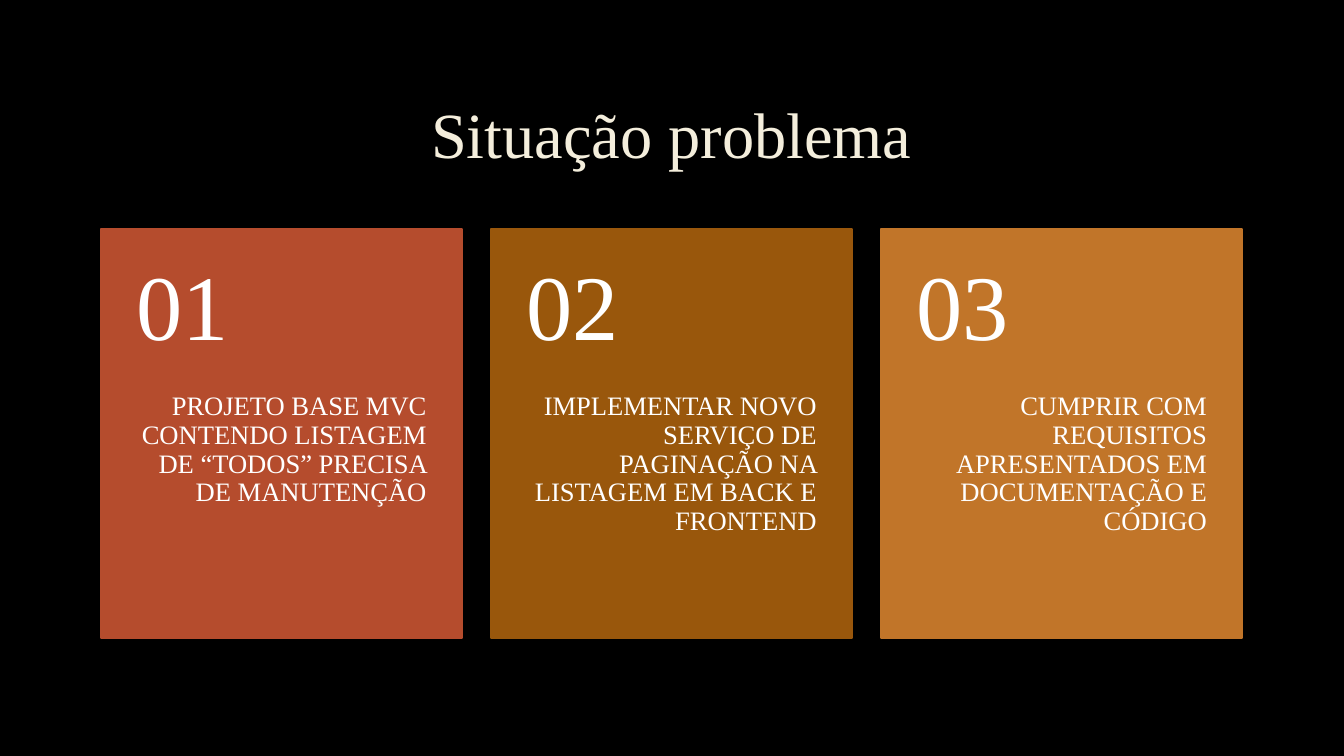
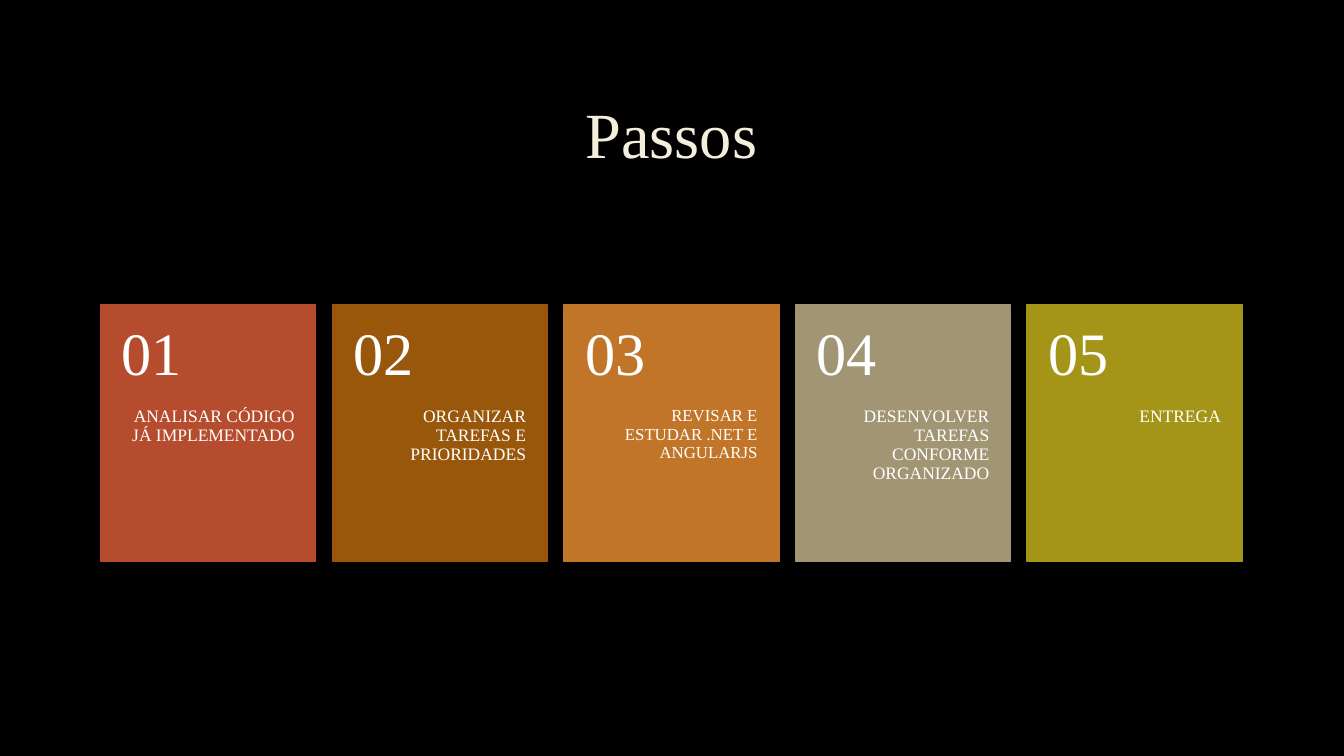
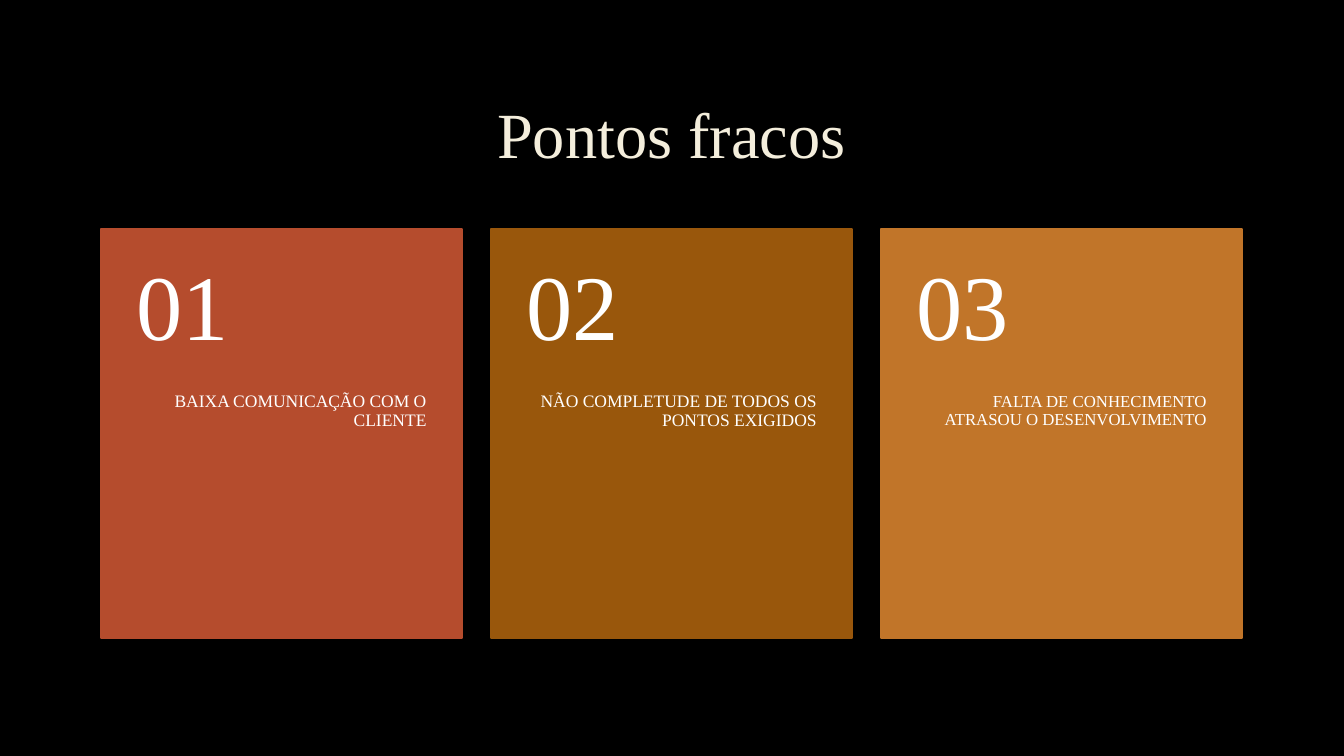
from pptx import Presentation
from pptx.dml.color import RGBColor
from pptx.enum.shapes import MSO_SHAPE
from pptx.enum.text import MSO_ANCHOR, MSO_AUTO_SIZE, PP_ALIGN
from pptx.util import Pt

FONT = "Times New Roman"
BACKGROUND, TITLE_COLOR, CARD_TEXT = "000000", "F4EEDC", "FFFFFF"
CARD_COLORS = ["B54C2D", "99570C", "C17529", "A19574", "A49518"]
LEFT, CONTENT_WIDTH = 72, 815.2
TITLE_TOP, TITLE_HEIGHT = 48.25, 99.4
NUMBER_SHARE = 0.4

LARGE = {"top": 163.5, "width": 257.8, "height": 292.4, "inset": 25.2, "number_size": 66}
SMALL = {"top": 217.6, "width": 153.4, "height": 183.6, "inset": 15.1, "number_size": 43}

SLIDES = [
    ("Situação problema", LARGE, [
        ("PROJETO BASE MVC CONTENDO LISTAGEM DE “TODOS” PRECISA DE MANUTENÇÃO", 19),
        ("IMPLEMENTAR NOVO SERVIÇO DE PAGINAÇÃO NA LISTAGEM EM BACK E FRONTEND", 19),
        ("CUMPRIR COM REQUISITOS APRESENTADOS EM DOCUMENTAÇÃO E CÓDIGO", 19),
    ]),
    ("Passos", SMALL, [
        ("ANALISAR CÓDIGO JÁ IMPLEMENTADO", 12.5),
        ("ORGANIZAR TAREFAS E PRIORIDADES", 12.5),
        ("REVISAR E ESTUDAR .NET E ANGULARJS", 12),
        ("DESENVOLVER TAREFAS CONFORME ORGANIZADO", 12.5),
        ("ENTREGA", 12.5),
    ]),
    ("Pontos fracos", LARGE, [
        ("BAIXA COMUNICAÇÃO COM O CLIENTE", 12.5),
        ("NÃO COMPLETUDE DE TODOS OS PONTOS EXIGIDOS", 12.5),
        ("FALTA DE CONHECIMENTO ATRASOU O DESENVOLVIMENTO", 12),
    ]),
]


def rgb(value):
    """Turn a hex string into a colour."""
    return RGBColor.from_string(value)


def set_attributes(target, values):
    """Set each named value on the target."""
    for name, value in values.items():
        setattr(target, name, value)


def write_text(shape, text, size, color, alignment, frame_format):
    """Fill a shape with one formatted paragraph."""
    frame = shape.text_frame
    set_attributes(frame, {"word_wrap": True, "auto_size": MSO_AUTO_SIZE.NONE, **frame_format})
    paragraph = frame.paragraphs[0]
    paragraph.text = text
    set_attributes(paragraph, {"alignment": alignment, "line_spacing": 0.9})
    set_attributes(paragraph.font, {"name": FONT, "size": Pt(size)})
    paragraph.font.color.rgb = rgb(color)


def add_card(slide, left, color, number, caption, caption_size, style):
    """Draw a coloured card with its number above its caption."""
    top, width, height = style["top"], style["width"], style["height"]
    number_height = height * NUMBER_SHARE
    panel = slide.shapes.add_shape(
        MSO_SHAPE.RECTANGLE, Pt(left), Pt(top), Pt(width), Pt(height))
    panel.shadow.inherit = False
    panel.fill.solid()
    panel.fill.fore_color.rgb = rgb(color)
    panel.line.color.rgb = rgb(color)
    panel.line.width = Pt(1.25)

    sides = {"margin_left": Pt(style["inset"]), "margin_right": Pt(style["inset"])}
    parts = [
        (caption, caption_size, top + number_height, height - number_height, PP_ALIGN.RIGHT,
         {"margin_top": 0, "margin_bottom": Pt(26), "vertical_anchor": MSO_ANCHOR.TOP}),
        (f"{number:02}", style["number_size"], top, number_height, PP_ALIGN.LEFT,
         {"margin_top": Pt(13), "margin_bottom": Pt(13), "vertical_anchor": MSO_ANCHOR.MIDDLE}),
    ]
    for text, size, part_top, part_height, alignment, frame_format in parts:
        box = slide.shapes.add_textbox(Pt(left), Pt(part_top), Pt(width), Pt(part_height))
        write_text(box, text, size, CARD_TEXT, alignment, {**sides, **frame_format})


def add_card_slide(presentation, layout, title, style, cards):
    """Add a titled slide with a row of evenly spaced cards."""
    slide = presentation.slides.add_slide(layout)
    write_text(slide.shapes.title, title, 46, TITLE_COLOR, PP_ALIGN.CENTER,
               {"vertical_anchor": MSO_ANCHOR.MIDDLE})
    pitch = (CONTENT_WIDTH - style["width"]) / (len(cards) - 1)
    for index, (caption, size) in enumerate(cards):
        add_card(slide, LEFT + index * pitch, CARD_COLORS[index], index + 1, caption, size, style)


def main():
    """Build and save the presentation."""
    presentation = Presentation()
    set_attributes(presentation, {"slide_width": Pt(960), "slide_height": Pt(540)})
    background = presentation.slide_master.background.fill
    background.solid()
    background.fore_color.rgb = rgb(BACKGROUND)
    layout = presentation.slide_layouts.get_by_name("Title Only")
    set_attributes(layout.placeholders[0], {
        "left": Pt(LEFT), "top": Pt(TITLE_TOP),
        "width": Pt(CONTENT_WIDTH), "height": Pt(TITLE_HEIGHT)})
    for title, style, cards in SLIDES:
        add_card_slide(presentation, layout, title, style, cards)
    presentation.save("out.pptx")


if __name__ == "__main__":
    main()
